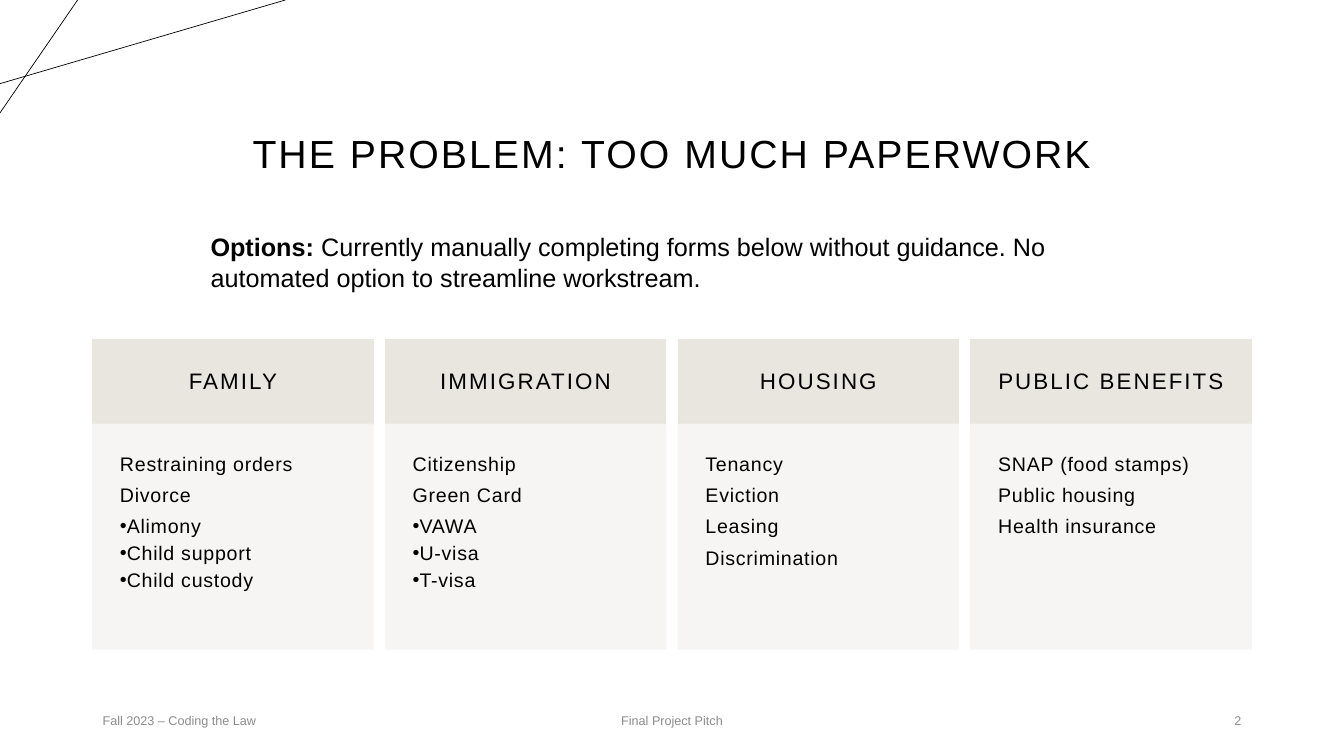
import pptx
import pptx.util
import pptx.dml.color
import pptx.enum.shapes
import pptx.enum.text
import pptx.oxml.ns
import lxml.etree

Inches, Pt = pptx.util.Inches, pptx.util.Pt
ALIGN = pptx.enum.text.PP_ALIGN
ANCHOR = pptx.enum.text.MSO_ANCHOR
WIDTH, HEIGHT = 13.33, 7.5
MARGIN = 0.92
CONTENT = WIDTH - 2 * MARGIN

# Card grid
CARD_WIDTH, CARD_TOP = 2.78, 3.37
HEAD_HEIGHT, BODY_HEIGHT = 0.84, 2.23

# Heading, topics, bulleted subtopics
CARDS = [
    ("FAMILY", ["Restraining orders", "Divorce"],
     ["Alimony", "Child support", "Child custody"]),
    ("IMMIGRATION", ["Citizenship", "Green Card"], ["VAWA", "U-visa", "T-visa"]),
    ("HOUSING", ["Tenancy", "Eviction", "Leasing", "Discrimination"], []),
    ("PUBLIC BENEFITS", ["SNAP (food stamps)", "Public housing", "Health insurance"], []),
]


def color(value):
    return pptx.dml.color.RGBColor.from_string(value)


def add_child(parent, tag, **attributes):
    child = lxml.etree.SubElement(parent, pptx.oxml.ns.qn(tag))
    for name, value in attributes.items():
        child.set(name, str(value))
    return child


def set_frame(frame, anchor, inset=None):
    frame.word_wrap = True
    frame.vertical_anchor = anchor
    if inset is not None:
        frame.margin_left = frame.margin_right = Inches(inset)
        frame.margin_top = frame.margin_bottom = Inches(inset)


def format_para(para, size, align=ALIGN.LEFT, ink="000000", tracking=0,
                line_spacing=None, after=0):
    para.alignment = align
    para.space_after = Pt(after)
    if line_spacing:
        para.line_spacing = line_spacing
    for span in para.runs:
        span.font.name = "Arial"
        span.font.size = Pt(size)
        span.font.color.rgb = color(ink)
        if tracking:
            span.font._element.set("spc", str(int(tracking * 100)))


def add_bullet(para):
    properties = para._p.get_or_add_pPr()
    properties.set("marL", "0")
    properties.set("indent", str(-Inches(0.12)))
    add_child(properties, "a:buFont", typeface="Arial")
    add_child(properties, "a:buChar", char="•")


def add_text(page, text, left, top, width, height, size, anchor=ANCHOR.MIDDLE, **style):
    box = page.shapes.add_textbox(Inches(left), Inches(top), Inches(width), Inches(height))
    set_frame(box.text_frame, anchor)
    para = box.text_frame.paragraphs[0]
    para.text = text
    format_para(para, size, **style)
    return para


def add_panel(page, left, top, height, fill, opacity=100):
    panel = page.shapes.add_shape(
        pptx.enum.shapes.MSO_SHAPE.RECTANGLE,
        Inches(left), Inches(top), Inches(CARD_WIDTH), Inches(height))
    panel.shadow.inherit = False
    panel.line.width = Pt(1)
    for paint in (panel.fill, panel.line.fill):
        paint.solid()
        paint.fore_color.rgb = color(fill)
    if opacity < 100:
        for swatch in panel._element.spPr.iter(pptx.oxml.ns.qn("a:srgbClr")):
            add_child(swatch, "a:alpha", val=opacity * 1000)
    return panel


def add_card(page, left, heading, topics, subtopics):
    head = add_panel(page, left, CARD_TOP, HEAD_HEIGHT, "E9E6DF")
    set_frame(head.text_frame, ANCHOR.MIDDLE, 0.22)
    head.text_frame.text = heading
    format_para(head.text_frame.paragraphs[0], 16, ALIGN.CENTER,
                tracking=1.5, line_spacing=0.9)

    body = add_panel(page, left, CARD_TOP + HEAD_HEIGHT, BODY_HEIGHT, "F7F5F3", 90)
    set_frame(body.text_frame, ANCHOR.TOP, 0.27)
    body.text_frame.text = "\n".join(topics + subtopics)
    for index, para in enumerate(body.text_frame.paragraphs):
        is_subtopic = index >= len(topics)
        format_para(para, 14, tracking=0.5, after=2.4 if is_subtopic else 5.6)
        if is_subtopic:
            add_bullet(para)


def add_line(page, start, end):
    line = page.shapes.add_connector(
        pptx.enum.shapes.MSO_CONNECTOR.STRAIGHT,
        *(Inches(length) for length in start + end))
    line.line.color.rgb = color("000000")
    line.line.width = Pt(0.5)
    add_child(line._element.spPr, "a:effectLst")


def main():
    deck = pptx.Presentation()
    deck.slide_width, deck.slide_height = Inches(WIDTH), Inches(HEIGHT)
    page = deck.slides.add_slide(deck.slide_layouts[6])

    # Corner lines
    add_line(page, (0, 0.83), (2.83, 0))
    add_line(page, (0.77, 0), (0, 1.12))

    # Title and introduction
    add_text(page, "THE PROBLEM: TOO MUCH PAPERWORK", MARGIN, 0.35, CONTENT, 1.45, 28,
             ANCHOR.BOTTOM, align=ALIGN.CENTER, tracking=1.5, line_spacing=0.9)
    intro = add_text(page, "Options: ", 1.99, 2.25, 9.34, 0.71, 18, ANCHOR.TOP)
    intro.runs[0].font.bold = True
    intro.add_run().text = ("Currently manually completing forms below without guidance. "
                            "No automated option to streamline workstream.")
    format_para(intro, 18)

    # Four cards spread evenly between the margins
    step = (CONTENT - CARD_WIDTH) / (len(CARDS) - 1)
    for index, card in enumerate(CARDS):
        add_card(page, MARGIN + index * step, *card)

    # Footer
    footers = [
        ("Fall 2023 – Coding the Law", MARGIN, 3, ALIGN.LEFT),
        ("Final Project Pitch", (WIDTH - 4.5) / 2, 4.5, ALIGN.CENTER),
        ("2", WIDTH - MARGIN - 3, 3, ALIGN.RIGHT),
    ]
    for text, left, width, align in footers:
        add_text(page, text, left, 6.95, width, 0.4, 9, align=align, ink="8C8C8C")

    deck.save("out.pptx")


main()
